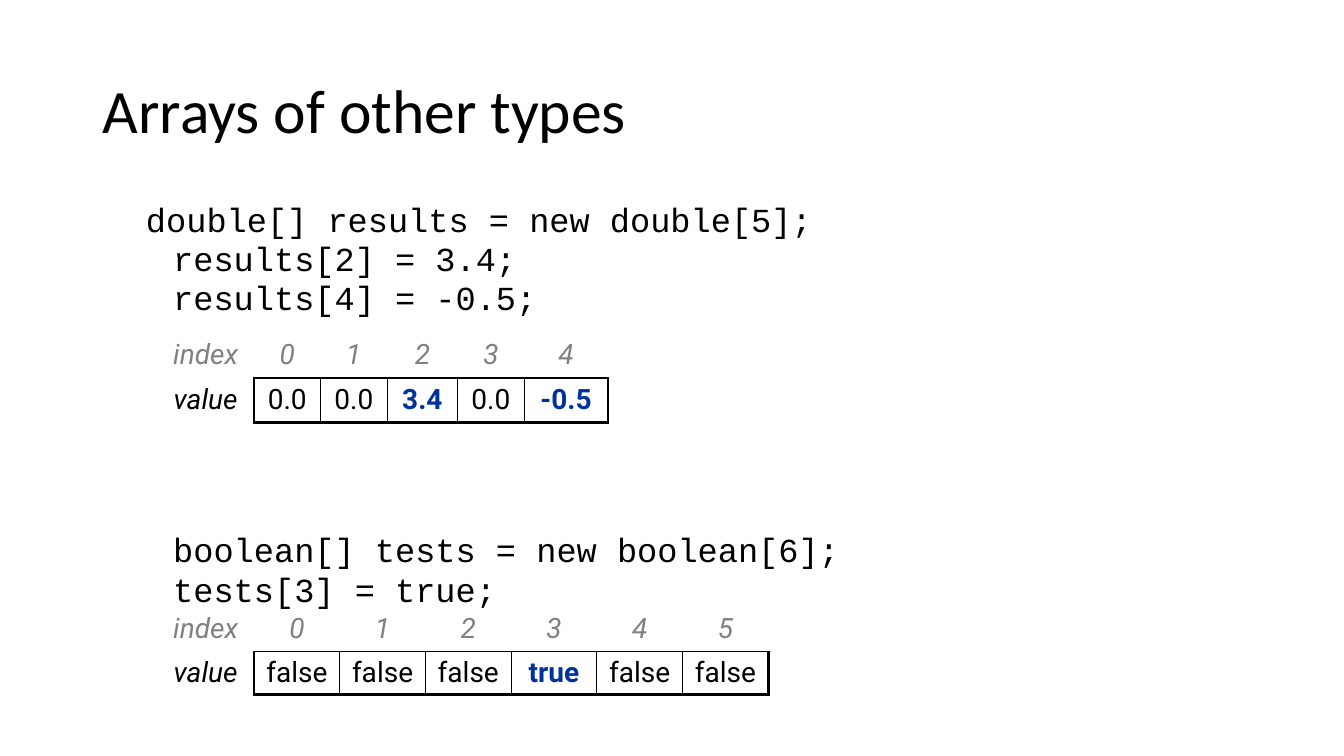
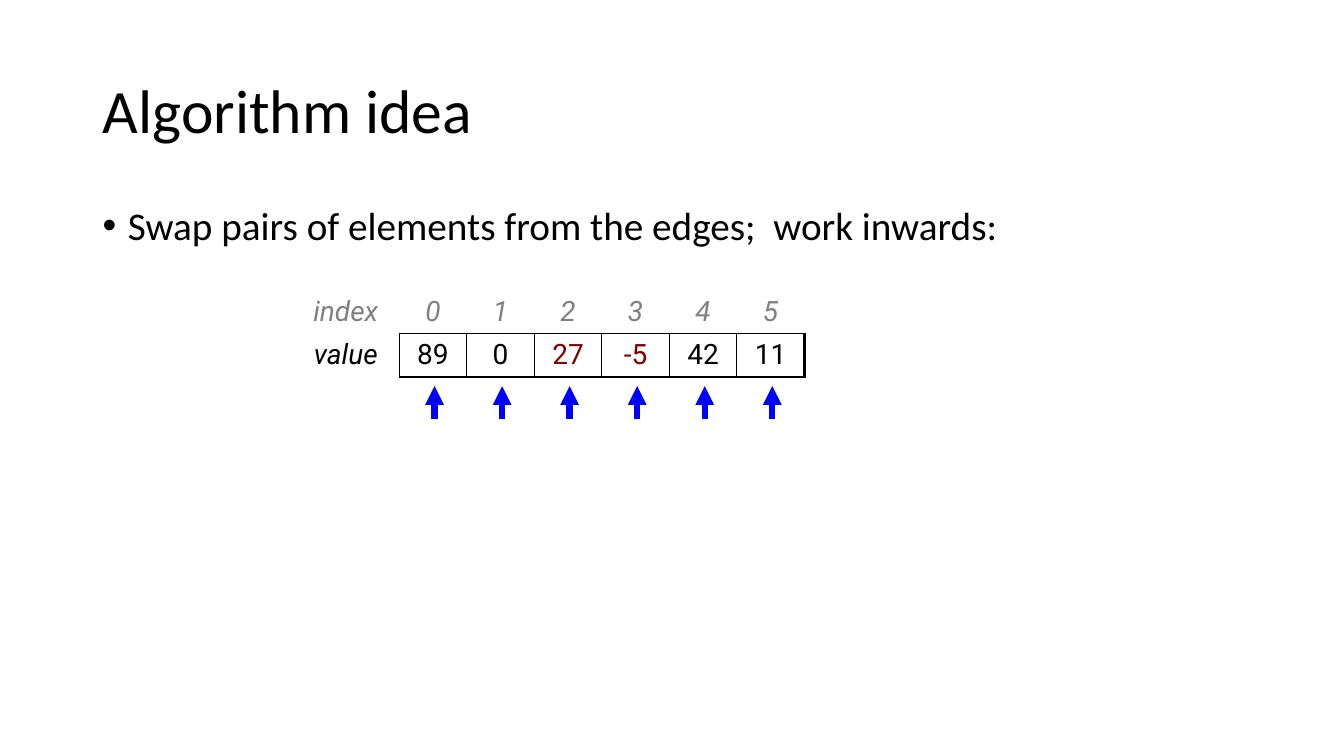
from dataclasses import dataclass
from lxml.etree import SubElement
from pptx import Presentation
from pptx.dml.color import RGBColor
from pptx.enum.shapes import MSO_CONNECTOR as Connector
from pptx.enum.text import MSO_ANCHOR as Anchor, MSO_AUTO_SIZE as AutoSize, PP_ALIGN as Align
from pptx.oxml.ns import qn
from pptx.util import Inches, Pt


@dataclass(frozen=True)
class Theme:
    black: str = "000000"
    gray: str = "808080"
    navy: str = "003399"
    maroon: str = "800000"
    blue: str = "0000FF"
    text_font: str = "Calibri"
    code_font: str = "Courier New"
    table_font: str = "Roboto"
    title_size: float = 44
    body_size: float = 28
    code_size: float = 24
    table_size: float = 20
    thin: float = 1
    thick: float = 2.25
    arrow: float = 4.5
    left: float = 0.92
    width: float = 11.5


THEME = Theme()


class Deck:
    def __init__(self, theme):
        self.theme = theme
        self.presentation = Presentation()
        self.presentation.slide_width = Inches(13.33)
        self.presentation.slide_height = Inches(7.5)
        self.slide = None

    def style(self, paragraph, color, paragraph_format=None, **font_format):
        for name, value in (paragraph_format or {}).items():
            setattr(paragraph, name, value)
        font = paragraph.runs[0].font
        for name, value in font_format.items():
            setattr(font, name, value)
        font.color.rgb = RGBColor.from_string(color)

    def place(self, shape, top, height):
        bounds = {"left": self.theme.left, "top": top, "width": self.theme.width, "height": height}
        for name, value in bounds.items():
            setattr(shape, name, Inches(value))
        frame = shape.text_frame
        frame.word_wrap = True
        frame.auto_size = AutoSize.NONE
        return frame

    def add_slide(self, title):
        theme = self.theme
        self.slide = self.presentation.slides.add_slide(self.presentation.slide_layouts[5])
        frame = self.place(self.slide.shapes.title, 0.4, 1.45)
        frame.text = title
        frame.vertical_anchor = Anchor.MIDDLE
        self.style(frame.paragraphs[0], theme.black,
                   {"alignment": Align.LEFT, "line_spacing": 0.9},
                   name=theme.text_font, size=Pt(theme.title_size))

    def text_box(self, top, height):
        return self.place(self.slide.shapes.add_textbox(0, 0, 0, 0), top, height)

    def indent(self, paragraph, margin, first_line):
        properties = paragraph._p.get_or_add_pPr()
        properties.set("marL", str(Inches(margin)))
        properties.set("indent", str(Inches(first_line)))
        return properties

    def code(self, top, height, lines, outdent=0):
        theme = self.theme
        frame = self.text_box(top, height)
        frame.text = "\n".join(lines)
        for number, paragraph in enumerate(frame.paragraphs):
            self.indent(paragraph, 0.7, 0 if number else -outdent)
            self.style(paragraph, theme.black, {"line_spacing": 0.8, "space_before": Pt(5)},
                       name=theme.code_font, size=Pt(theme.code_size))

    def bullet(self, top, height, text):
        theme = self.theme
        frame = self.text_box(top, height)
        frame.text = text
        paragraph = frame.paragraphs[0]
        self.style(paragraph, theme.black, {"line_spacing": 0.9, "space_before": Pt(10)},
                   name=theme.text_font, size=Pt(theme.body_size))
        properties = self.indent(paragraph, 0.25, -0.25)
        SubElement(properties, qn("a:buFont"), typeface="Arial")
        SubElement(properties, qn("a:buChar"), char="•")

    def borders(self, cell, **widths):
        properties = cell._tc.get_or_add_tcPr()
        for side in "LRTB":
            width = widths.get(side, 0)
            line = SubElement(properties, qn(f"a:ln{side}"), w=str(Pt(width)))
            if width:
                fill = SubElement(line, qn("a:solidFill"))
                SubElement(fill, qn("a:srgbClr"), val=self.theme.black)
            else:
                SubElement(line, qn("a:noFill"))

    def cell(self, cell, text, color, borders, **font_format):
        theme = self.theme
        cell.text = text
        self.borders(cell, **borders)
        cell.fill.background()
        self.style(cell.text_frame.paragraphs[0], color, {"alignment": Align.CENTER},
                   name=theme.table_font, size=Pt(theme.table_size), **font_format)

    def array(self, left, top, row_height, widths, values, changed, accent, bold=False):
        theme = self.theme
        thin, thick = theme.thin, theme.thick
        table = self.slide.shapes.add_table(
            2, len(widths), Inches(left), Inches(top),
            Inches(sum(widths)), Inches(2 * row_height)).table
        table.first_row = table.horz_banding = False
        for row in table.rows:
            row.height = Inches(row_height)
        for column, width in zip(table.columns, widths):
            column.width = Inches(width)
        self.cell(table.cell(0, 0), "index", theme.gray, {}, italic=True)
        self.cell(table.cell(1, 0), "value", theme.black, {"R": thin}, italic=True)
        for index, value in enumerate(values):
            marked = index in changed
            right = thick if index == len(values) - 1 else thin
            self.cell(table.cell(0, index + 1), str(index), theme.gray, {"B": thin}, italic=True)
            self.cell(table.cell(1, index + 1), value, accent if marked else theme.black,
                      {"L": thin, "R": right, "T": thin, "B": thick}, bold=bold and marked)

    def up_arrow(self, x, bottom, top):
        connector = self.slide.shapes.add_connector(
            Connector.STRAIGHT, Inches(x), Inches(bottom), Inches(x), Inches(top))
        connector.line.color.rgb = RGBColor.from_string(self.theme.blue)
        connector.line.width = Pt(self.theme.arrow)
        SubElement(connector.line._get_or_add_ln(), qn("a:tailEnd"), type="triangle")
        SubElement(connector._element.spPr, qn("a:effectLst"))


def array_types(deck):
    deck.add_slide("Arrays of other types")
    deck.code(2, 1.3, ["double[] results = new double[5];", "results[2] = 3.4;",
                       "results[4] = -0.5;"], outdent=0.27)
    deck.array(1.56, 3.31, 0.44, [0.96, 0.66, 0.66, 0.7, 0.66, 0.83],
               ["0.0", "0.0", "3.4", "0.0", "-0.5"], {2, 4}, THEME.navy, bold=True)
    deck.code(5.28, 0.8, ["boolean[] tests = new boolean[6];", "tests[3] = true;"])
    deck.array(1.56, 6.03, 0.43, [0.96] + [0.85] * 6,
               ["false"] * 3 + ["true"] + ["false"] * 2, {3}, THEME.navy, bold=True)


def algorithm_idea(deck):
    values = ["89", "0", "27", "-5", "42", "11"]
    column = 0.67
    deck.add_slide("Algorithm idea")
    deck.bullet(2, 0.7, "Swap pairs of elements from the edges;  work inwards:")
    for index in range(len(values)):
        deck.up_arrow(4.31 + index * column, 4.16, 3.83)
    deck.array(2.9, 2.88, 0.43, [1.06] + [column] * len(values), values, {2, 3}, THEME.maroon)


def main():
    deck = Deck(THEME)
    array_types(deck)
    algorithm_idea(deck)
    deck.presentation.save("out.pptx")


if __name__ == "__main__":
    main()
